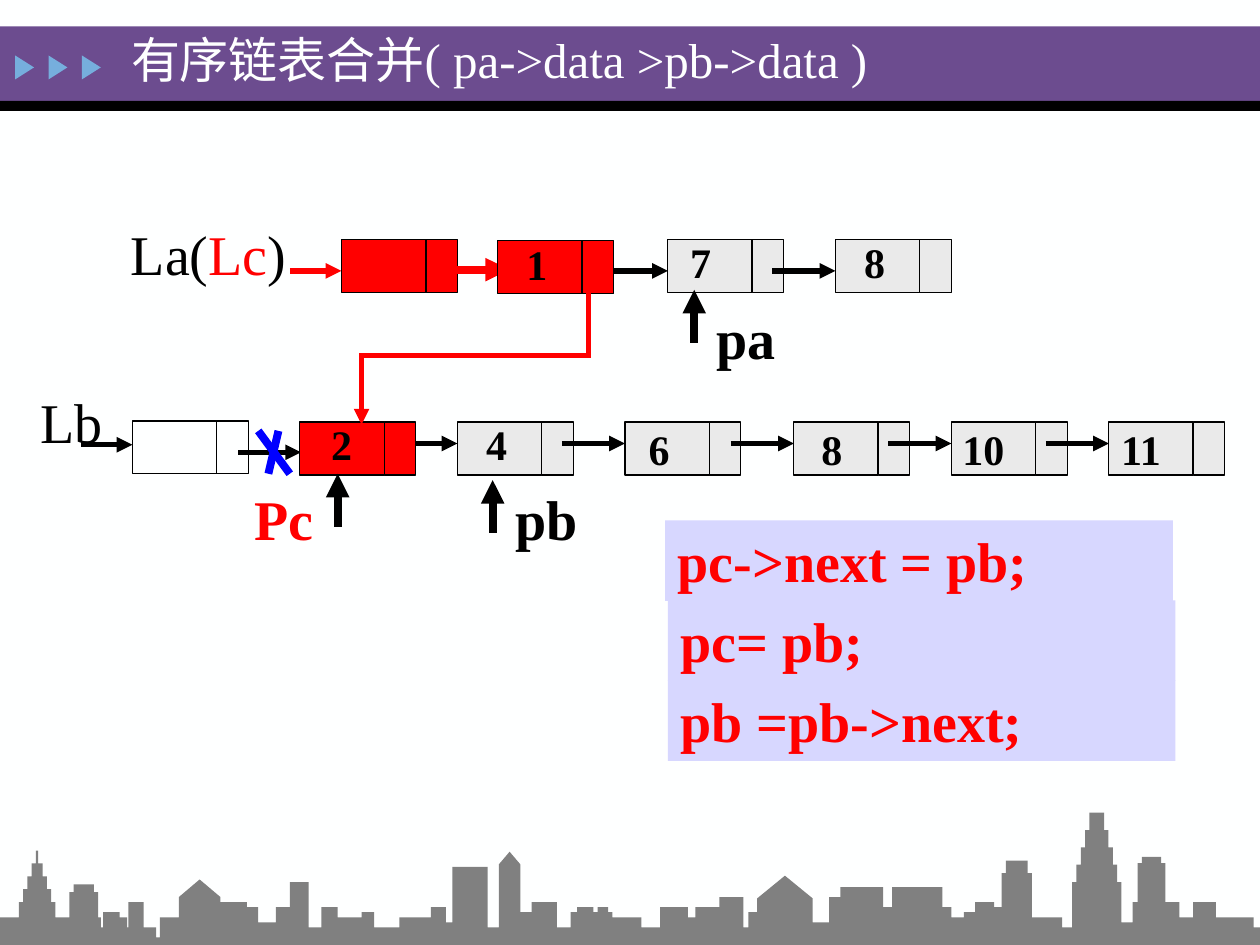
from dataclasses import dataclass

from lxml.etree import SubElement
from pptx import Presentation
from pptx.dml.color import RGBColor
from pptx.enum.shapes import MSO_CONNECTOR as Connector, MSO_SHAPE as Shape
from pptx.enum.text import MSO_ANCHOR as Anchor, MSO_AUTO_SIZE as AutoSize, PP_ALIGN as Align
from pptx.oxml.ns import qn
from pptx.util import Inches, Pt


@dataclass(frozen=True)
class Theme:
    font: str = "Times New Roman"
    title_size: int = 28
    label_size: int = 32
    value_size: int = 24
    thin: float = 0.75
    medium: float = 3
    thick: float = 4.5
    paper: str = "FEFFFF"
    banner: str = "6C4C8F"
    marker: str = "76AEDD"
    ink: str = "000000"
    red: str = "FF0000"
    blue: str = "0000FF"
    node: str = "EAEAEA"
    code: str = "D7D7FF"
    city: str = "808080"


THEME = Theme()
SLIDE_WIDTH, SLIDE_HEIGHT = 10, 7.5

# A list node is a data cell followed by a narrower next cell
NODE_HEIGHT, DATA_WIDTH, NEXT_WIDTH = 0.42, 0.67, 0.25
LINK_LENGTH = 0.5
POINTER_LENGTH = 0.42
CODE_WIDTH, CODE_HEIGHT = 4.03, 0.64

# Skyline: flat blocks as (left, right), grouped by their number of storeys
STREET, STOREY = 7.36, 0.04
BLOCKS = {
    -2: [(1.24, 1.27)],
    1: [(2.05, 2.19), (3.54, 3.59), (6.45, 6.58), (8.9, 8.99)],
    2: [(0, 0.15), (0.44, 0.55), (0.78, 0.8), (0.95, 1.01), (1.27, 1.42), (2.68, 2.87),
        (3.17, 3.42), (4.86, 5.09), (5.46, 5.52), (7.55, 7.65), (8.19, 8.43),
        (9.36, 9.47), (9.65, 9.95)],
    3: [(0.82, 0.95), (2.87, 2.97), (4.13, 4.22), (4.53, 4.58), (5.94, 6.01), (7.65, 7.74)],
    4: [(1.96, 2.05), (2.19, 2.3), (2.55, 2.68), (3.42, 3.54), (4.58, 4.71), (5.24, 5.46),
        (5.52, 5.71), (7.01, 7.08), (7.48, 7.55), (7.89, 7.95)],
    5: [(1.02, 1.14), (1.75, 1.96), (4.22, 4.42), (7.74, 7.89), (8.99, 9.03),
        (9.25, 9.36), (9.47, 9.65)],
    6: [(5.71, 5.9), (6.58, 6.67)],
    8: [(6.67, 7.01), (7.08, 7.48)],
    9: [(2.3, 2.45)],
    12: [(3.59, 3.87)],
}
# Pointed roofs: left, right, eave, peak
HOUSES = [(1.42, 1.75, 7.12, 6.98), (3.96, 4.13, 6.86, 6.76), (6.01, 6.45, 7.13, 6.95)]
# Stepped towers: left, right, lowest roof, highest roof, tiers
TOWERS = [(0.15, 0.44, 7.16, 6.75, 5), (0.55, 0.78, 7.08, 7.02, 2),
          (4.71, 4.86, 7.24, 7.2, 2), (7.95, 8.19, 6.93, 6.83, 2),
          (8.51, 8.9, 7, 6.45, 5), (9.03, 9.25, 6.85, 6.8, 2)]


def apply_format(target, values):
    for name, value in values.items():
        setattr(target, name, value)


def paint(shape, fill=None, outline=None):
    shape.shadow.inherit = False
    if fill:
        shape.fill.solid()
        shape.fill.fore_color.rgb = RGBColor.from_string(fill)
    else:
        shape.fill.background()
    if outline:
        shape.line.color.rgb = RGBColor.from_string(outline)
        shape.line.width = Pt(THEME.thin)
    else:
        shape.line.fill.background()


def add_block(slide, box, fill, outline=None, kind=Shape.RECTANGLE):
    block = slide.shapes.add_shape(kind, *map(Inches, box))
    paint(block, fill, outline)
    return block


def write(shape, parts, size, bold=False, **frame_format):
    """Fill a shape with one left-aligned line of (text, colour) parts."""
    apply_format(shape.text_frame, frame_format)
    line = shape.text_frame.paragraphs[0]
    line.alignment = Align.LEFT
    for text, color in parts:
        run = line.add_run()
        run.text = text
        apply_format(run.font, {"name": THEME.font, "size": Pt(size), "bold": bold})
        run.font.color.rgb = RGBColor.from_string(color)


def add_label(slide, box, parts, size=THEME.label_size, bold=True):
    label = slide.shapes.add_textbox(*map(Inches, box))
    write(label, parts, size, bold, word_wrap=False, auto_size=AutoSize.SHAPE_TO_FIT_TEXT)


def add_line(slide, start, end, color=THEME.ink, width=THEME.medium, arrow=True):
    link = slide.shapes.add_connector(Connector.STRAIGHT, *map(Inches, start + end))
    link.line.color.rgb = RGBColor.from_string(color)
    link.line.width = Pt(width)
    if arrow:
        SubElement(link.line._get_or_add_ln(), qn("a:tailEnd"), type="triangle")
    SubElement(link._element.spPr, qn("a:effectLst"))


def add_node(slide, left, top, fill, value="", value_left=0, value_top=0):
    add_block(slide, (left, top, DATA_WIDTH, NODE_HEIGHT), fill, THEME.ink)
    add_block(slide, (left + DATA_WIDTH, top, NEXT_WIDTH, NODE_HEIGHT), fill, THEME.ink)
    if value:
        value_box = (value_left, value_top, 0.2 + 0.17 * len(value), 0.51)
        add_label(slide, value_box, [(value, THEME.ink)], THEME.value_size)


def add_linked_nodes(slide, nodes, top, link_y):
    """Draw grey nodes, each with the arrow that leads to it."""
    for left, value, value_left, value_top in nodes:
        add_node(slide, left, top, THEME.node, value, value_left, value_top)
        add_line(slide, (left - LINK_LENGTH, link_y), (left, link_y))


def add_banner(slide):
    add_block(slide, (0, 0.21, SLIDE_WIDTH, 0.59), THEME.banner)
    add_block(slide, (0, 0.8, SLIDE_WIDTH, 0.08), THEME.ink)
    for index in range(3):
        box = (0.1 + 0.265 * index, 0.46, 0.19, 0.15)
        add_block(slide, box, THEME.marker, kind=Shape.ISOSCELES_TRIANGLE).rotation = 90


def add_title(slide, text):
    title = slide.shapes.title
    place = zip(("left", "top", "width", "height"), map(Inches, (0.94, 0.19, 8.53, 0.56)))
    apply_format(title, dict(place))
    write(title, [(text, THEME.paper)], THEME.title_size,
          word_wrap=True, auto_size=AutoSize.NONE, vertical_anchor=Anchor.MIDDLE)
    slide.shapes._spTree.append(title._element)  # raise it above the banner


def block_outline(left, right, storeys):
    roof = STREET - storeys * STOREY
    return [(left, roof), (right, roof)]


def house_outline(left, right, eave, peak):
    return [(left, eave), ((left + right) / 2, peak), (right, eave)]


def tower_outline(left, right, low, high, tiers, inset=0.04):
    """Climb in equal steps on the left and mirror them on the right."""
    rise = (low - high) / (tiers - 1)
    climb = []
    for tier in range(tiers):
        x, roof = left + tier * inset * 0.85, low - tier * rise
        climb += [(x, roof), (x + inset * 0.85, roof)]
    climb.pop()  # the top tier runs straight across
    return climb + [(left + right - x, y) for x, y in reversed(climb)]


def add_skyline(slide):
    buildings = [block_outline(*span, storeys)
                 for storeys, spans in BLOCKS.items() for span in spans]
    buildings += [house_outline(*house) for house in HOUSES]
    buildings += [tower_outline(*tower) for tower in TOWERS]
    # Walk from left to right and drop to the street between buildings
    outline = [(0, SLIDE_HEIGHT)]
    for building in sorted(buildings):
        previous_right, next_left = outline[-1][0], building[0][0]
        if next_left > previous_right:
            outline += [(previous_right, STREET), (next_left, STREET)]
        outline += building
    outline += [(outline[-1][0], STREET), (SLIDE_WIDTH, STREET), (SLIDE_WIDTH, SLIDE_HEIGHT)]
    first, *others = [(Inches(x), Inches(y)) for x, y in outline]
    builder = slide.shapes.build_freeform(*first)
    builder.add_line_segments(others, close=True)
    paint(builder.convert_to_shape(), THEME.city)


def add_list_a(slide):
    add_line(slide, (2.3, 2.15), (2.71, 2.15), THEME.red)
    add_label(slide, (0.94, 1.69, 1.61, 0.63),
              [("La(", THEME.ink), ("Lc", THEME.red), (")", THEME.ink)], bold=False)
    add_node(slide, 2.71, 1.9, THEME.red)
    add_linked_nodes(slide, [(5.3, "7", 5.38, 1.83), (6.63, "8", 6.76, 1.83)], 1.9, 2.15)
    add_line(slide, (3.54, 2.14), (4.04, 2.14), THEME.red, THEME.thick)
    add_node(slide, 3.95, 1.91, THEME.red, "1", 4.08, 1.84)


def add_list_b(slide):
    nodes = [(3.63, "4", 3.76, 3.27), (4.96, "6", 5.05, 3.31), (6.3, "8", 6.42, 3.31),
             (7.55, "10", 7.54, 3.31), (8.8, "11", 8.8, 3.31)]
    add_linked_nodes(slide, nodes, 3.35, 3.52)
    add_node(slide, 1.05, 3.34, None)
    add_line(slide, (1.89, 3.59), (2.39, 3.59))
    add_line(slide, (0.64, 3.53), (1.05, 3.53))
    add_label(slide, (0.22, 3.03, 0.7, 0.64), [("Lb", THEME.ink)], bold=False)
    add_node(slide, 2.38, 3.35, THEME.red, "2", 2.53, 3.27)


def add_relink(slide):
    # New path from node 1 to node 2
    add_line(slide, (4.67, 2.32), (4.67, 2.82), THEME.red, arrow=False)
    add_line(slide, (4.69, 2.82), (2.85, 2.82), THEME.red, arrow=False)
    add_line(slide, (2.87, 2.82), (2.87, 3.37), THEME.red)
    # Cross over the broken link
    for start, end in (((2.21, 3.42), (2.13, 3.76)), ((2.05, 3.42), (2.3, 3.76))):
        add_line(slide, start, end, THEME.blue, THEME.thick, arrow=False)


def add_pointers(slide):
    pointers = [("pa", THEME.ink, (5.59, 2.36, 0.68, 0.64), (5.51, 2.72)),
                ("Pc", THEME.red, (1.92, 3.8, 0.67, 0.63), (2.68, 4.18)),
                ("pb", THEME.ink, (3.99, 3.8, 0.7, 0.64), (3.91, 4.23))]
    for name, color, box, (x, y) in pointers:
        add_label(slide, box, [(name, color)])
        add_line(slide, (x, y), (x, y - POINTER_LENGTH), width=THEME.thick)


def add_code(slide):
    statements = [(5.28, "pc->next = pb;"), (5.3, "pc= pb;"), (5.3, "pb =pb->next;")]
    for row, (left, statement) in enumerate(statements):
        box = (left, 4.13 + 0.635 * row, CODE_WIDTH, CODE_HEIGHT)
        write(add_block(slide, box, THEME.code), [(statement, THEME.red)], THEME.label_size,
              True, word_wrap=True, vertical_anchor=Anchor.TOP)


def main():
    deck = Presentation()
    apply_format(deck, {"slide_width": Inches(SLIDE_WIDTH), "slide_height": Inches(SLIDE_HEIGHT)})
    slide = deck.slides.add_slide(deck.slide_layouts[5])
    slide.background.fill.solid()
    slide.background.fill.fore_color.rgb = RGBColor.from_string(THEME.paper)

    # Frame of the slide
    add_banner(slide)
    add_title(slide, "有序链表合并( pa->data >pb->data )")
    add_skyline(slide)

    # Linked lists, then the merge step
    for add_part in (add_list_a, add_list_b, add_relink, add_pointers, add_code):
        add_part(slide)

    deck.save("out.pptx")


if __name__ == "__main__":
    main()
